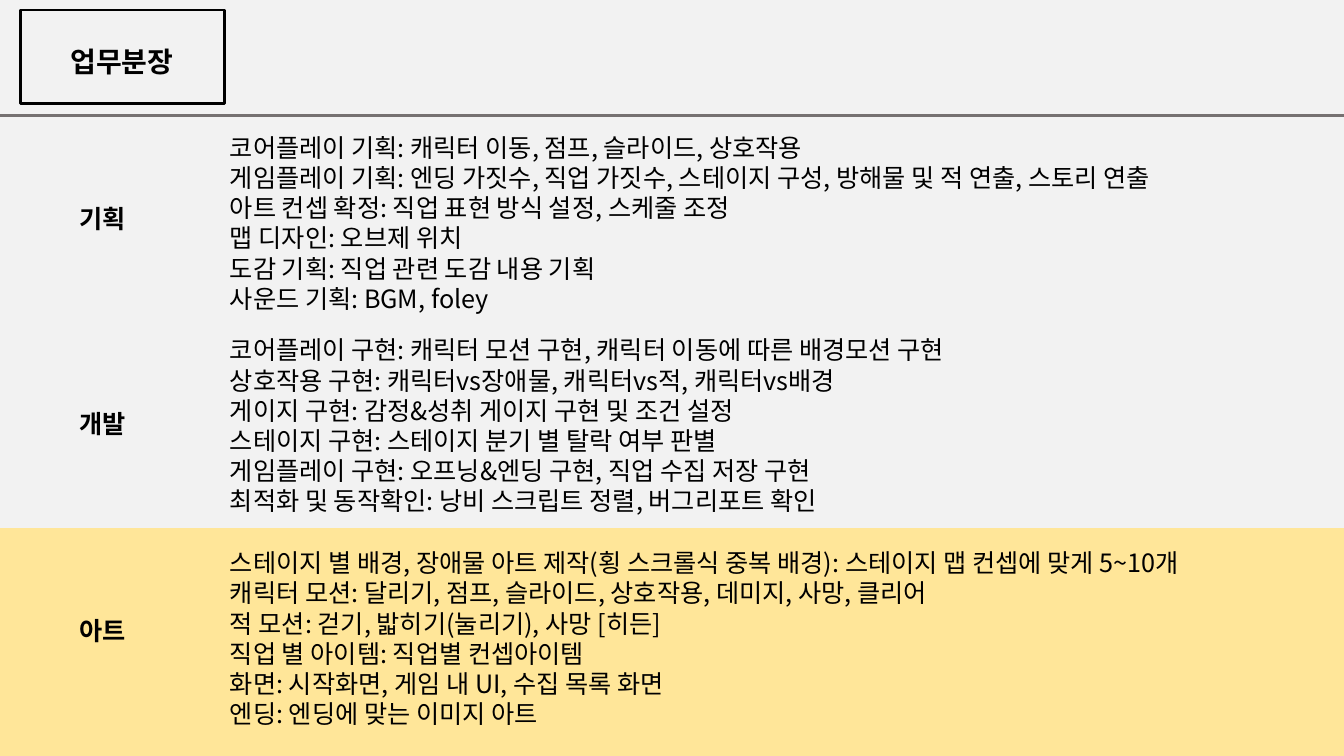
"""Build the task assignment slide with planning, development and art duties."""
from lxml import etree
from pptx import Presentation
from pptx.dml.color import RGBColor
from pptx.enum.shapes import MSO_CONNECTOR, MSO_SHAPE
from pptx.enum.text import MSO_ANCHOR, MSO_AUTO_SIZE, PP_ALIGN
from pptx.oxml.ns import qn
from pptx.util import Pt

RECT = MSO_SHAPE.RECTANGLE
LINE = MSO_CONNECTOR.STRAIGHT
TOP, MID = MSO_ANCHOR.TOP, MSO_ANCHOR.MIDDLE
LEFT, MIDDLE = PP_ALIGN.LEFT, PP_ALIGN.CENTER
FIXED = MSO_AUTO_SIZE.NONE

THEME = {
    "back": RGBColor.from_string("F2F2F2"),
    "band": RGBColor.from_string("FFE699"),
    "rule": RGBColor.from_string("767171"),
    "ink": RGBColor.from_string("000000"),
    "font": "Noto Sans CJK KR",
    "title": {"name": "Arial", "size": Pt(20), "bold": True},
    "label": {"name": "Noto Sans CJK KR", "size": Pt(18), "bold": True},
    "list": {"name": "Noto Sans CJK KR", "size": Pt(18), "bold": False},
}
WIDTH, HEIGHT = 960, 540

TEAMS = [
    ("기획", 141.8, 90.7, [
        "코어플레이 기획: 캐릭터 이동, 점프, 슬라이드, 상호작용",
        "게임플레이 기획: 엔딩 가짓수, 직업 가짓수, 스테이지 구성, 방해물 및 적 연출, 스토리 연출",
        "아트 컨셉 확정: 직업 표현 방식 설정, 스케줄 조정",
        "맵 디자인: 오브제 위치",
        "도감 기획: 직업 관련 도감 내용 기획",
        "사운드 기획: BGM, foley",
    ]),
    ("개발", 288, 235.4, [
        "코어플레이 구현: 캐릭터 모션 구현, 캐릭터 이동에 따른 배경모션 구현",
        "상호작용 구현: 캐릭터vs장애물, 캐릭터vs적, 캐릭터vs배경",
        "게이지 구현: 감정&성취 게이지 구현 및 조건 설정",
        "스테이지 구현: 스테이지 분기 별 탈락 여부 판별",
        "게임플레이 구현: 오프닝&엔딩 구현, 직업 수집 저장 구현",
        "최적화 및 동작확인: 낭비 스크립트 정렬, 버그리포트 확인",
    ]),
    ("아트", 436.3, 387.4, [
        "스테이지 별 배경, 장애물 아트 제작(횡 스크롤식 중복 배경): 스테이지 맵 컨셉에 맞게 5~10개",
        "캐릭터 모션: 달리기, 점프, 슬라이드, 상호작용, 데미지, 사망, 클리어",
        "적 모션: 걷기, 밟히기(눌리기), 사망 [히든]",
        "직업 별 아이템: 직업별 컨셉아이템",
        "화면: 시작화면, 게임 내 UI, 수집 목록 화면",
        "엔딩: 엔딩에 맞는 이미지 아트",
    ]),
]


def place(box, left, top, width, height):
    """Move and size a box in points."""
    spots = {"left": left, "top": top, "width": width, "height": height}
    for key, value in spots.items():
        setattr(box, key, Pt(value))


def write(box, lines, style, align=LEFT, anchor=TOP):
    """Fill a box with one paragraph per line."""
    frame = box.text_frame
    frame.text = "\n".join(lines)
    layout = {"word_wrap": True, "auto_size": FIXED, "vertical_anchor": anchor,
              "margin_left": Pt(7.2), "margin_right": Pt(7.2),
              "margin_top": Pt(3.6), "margin_bottom": Pt(3.6)}
    for key, value in layout.items():
        setattr(frame, key, value)
    flow = {"alignment": align, "space_before": Pt(0), "space_after": Pt(0),
            "line_spacing": Pt(style["size"].pt * 1.2)}
    for para in frame.paragraphs:
        for key, value in flow.items():
            setattr(para, key, value)
        props = para._p.get_or_add_pPr()
        props.set("marL", "0")
        props.set("indent", "0")
        etree.SubElement(props, qn("a:buNone"))
        font = para.runs[0].font
        for key, value in style.items():
            setattr(font, key, value)
        font.color.rgb = THEME["ink"]
        east = etree.SubElement(para.runs[0]._r.get_or_add_rPr(), qn("a:ea"))
        east.set("typeface", THEME["font"])


deck = Presentation()
deck.slide_width, deck.slide_height = Pt(WIDTH), Pt(HEIGHT)
slide = deck.slides.add_slide(deck.slide_layouts[4])
shapes = slide.shapes
slide.background.fill.solid()
slide.background.fill.fore_color.rgb = THEME["back"]

band = shapes.add_shape(RECT, 0, Pt(377.3), Pt(WIDTH), Pt(162.7))
band.shadow.inherit = False
band.fill.solid()
band.fill.fore_color.rgb = THEME["band"]
band.line.fill.background()
shapes.element.insert(2, band.element)

title = shapes.title
place(title, 18, 28.1, 138.2, 31.7)
write(title, ["업무분장"], THEME["title"], MIDDLE, MID)

frame = shapes.add_shape(RECT, Pt(14.4), Pt(7.2), Pt(146.2), Pt(67))
frame.shadow.inherit = False
frame.fill.background()
frame.line.color.rgb = THEME["ink"]
frame.line.width = Pt(2)

rule = shapes.add_connector(LINE, 0, Pt(82.5), Pt(WIDTH), Pt(82.5))
rule.line.color.rgb = THEME["rule"]
rule.line.width = Pt(1.75)
etree.SubElement(rule.element.spPr, qn("a:effectLst"))

bodies = [item for item in slide.placeholders if item.placeholder_format.idx]
for (name, mid, top, duties), body in zip(TEAMS, bodies):
    label = shapes.add_textbox(0, 0, 0, 0)
    place(label, 49.7, mid, 60, 28.8)
    write(label, [name], THEME["label"])
    place(body, 157, top, 778.3, 138.2)
    write(body, duties, THEME["list"])

for spare in bodies[len(TEAMS):]:
    shapes.element.remove(spare.element)

deck.save("out.pptx")
